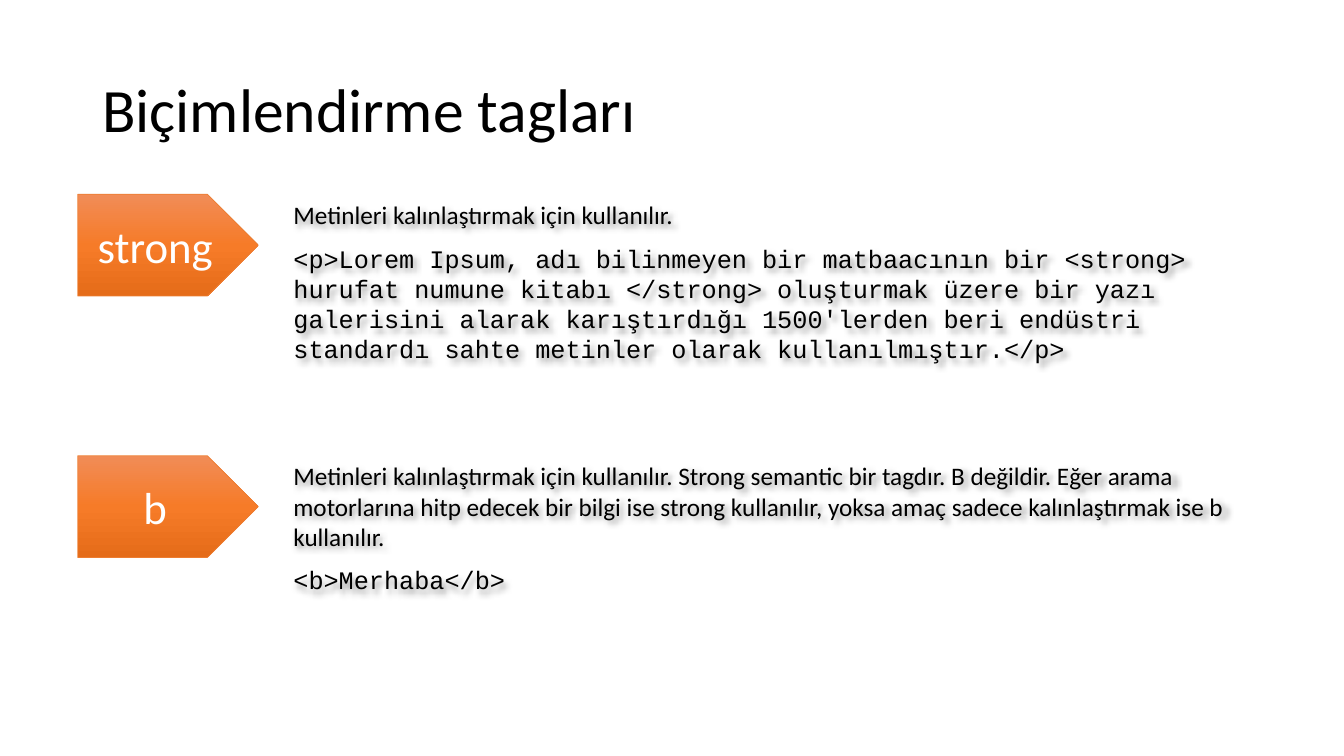
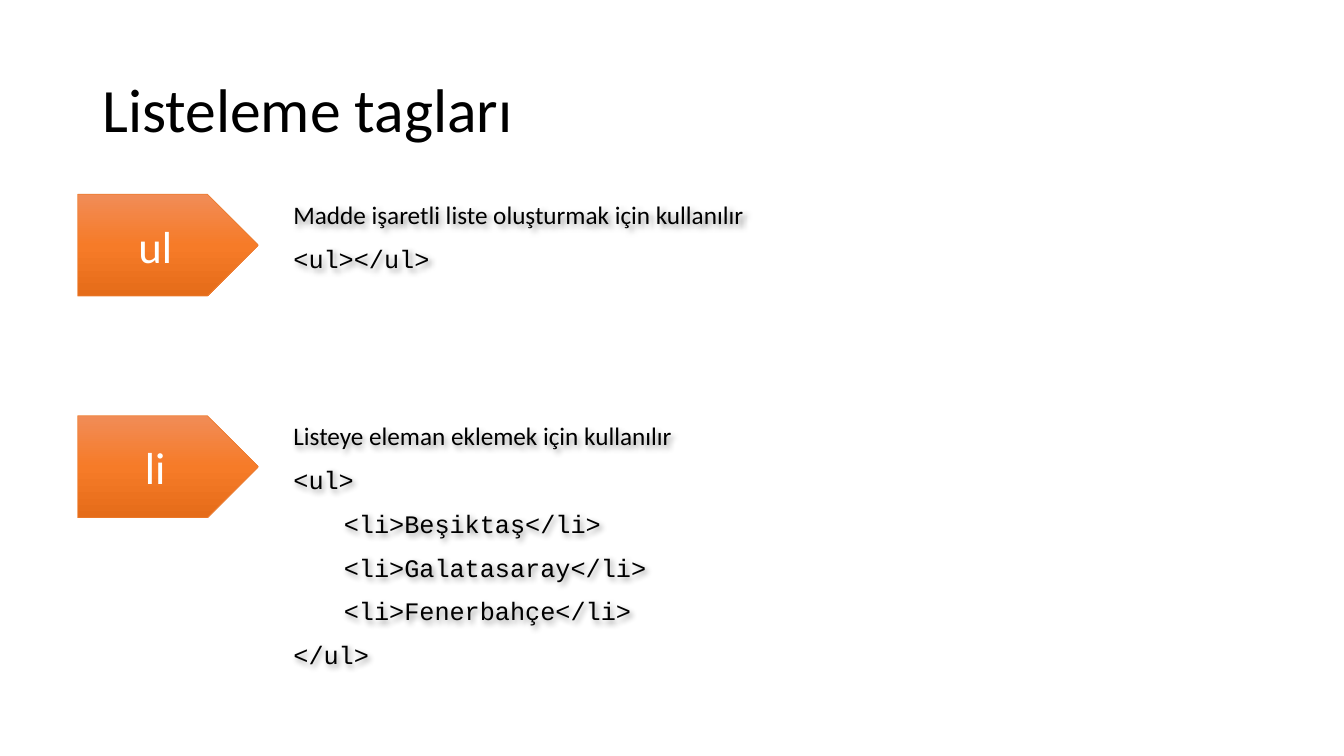
from copy import deepcopy

from lxml import etree
from pptx import Presentation
from pptx import util as u
from pptx.dml.color import RGBColor
from pptx.enum import shapes, text
from pptx.oxml.ns import qn

PX = 9525
BLACK = RGBColor(0x00, 0x00, 0x00)
WHITE = RGBColor(0xFF, 0xFF, 0xFF)
ORANGE = RGBColor(0xED, 0x7D, 0x31)
TAG_GRADIENT = (
    (0, RGBColor(0xF1, 0x8C, 0x57)),
    (0.5, RGBColor(0xF6, 0x7B, 0x28)),
    (1, RGBColor(0xE5, 0x6C, 0x19)),
)
BODY_FONT = "Calibri"
CODE_FONT = "Courier New"
TAG_LEFT, TAG_WIDTH, TAG_HEIGHT = 74, 172, 97
NOTE_LEFT, NOTE_WIDTH = 270, 924
FIRST_ROW = 185
CODE_TAB = 48

SLIDES = (
    ("Biçimlendirme tagları", (
        ("strong", FIRST_ROW, 154, "Metinleri kalınlaştırmak için kullanılır.", (
            "<p>Lorem Ipsum, adı bilinmeyen bir matbaacının bir <strong> hurufat numune "
            "kitabı </strong> oluşturmak üzere bir yazı galerisini alarak karıştırdığı "
            "1500'lerden beri endüstri standardı sahte metinler olarak kullanılmıştır.</p>",
        )),
        ("b", 434, 161,
         "Metinleri kalınlaştırmak için kullanılır. Strong semantic bir tagdır. B değildir. "
         "Eğer arama motorlarına hitp edecek bir bilgi ise strong kullanılır, yoksa amaç "
         "sadece kalınlaştırmak ise b kullanılır.",
         ("<b>Merhaba</b>",)),
    )),
    ("Listeleme tagları", (
        ("ul", FIRST_ROW, 154, "Madde işaretli liste oluşturmak için kullanılır",
         ("<ul></ul>",)),
        ("li", 396, 278, "Listeye eleman eklemek için kullanılır", (
            "<ul>",
            "\t<li>Beşiktaş</li>",
            "\t<li>Galatasaray</li>",
            "\t<li>Fenerbahçe</li>",
            "</ul>",
        )),
    )),
)


def px(*lengths):
    """Turn pixel lengths into EMU."""
    return [u.Emu(length * PX) for length in lengths]


def format_runs(paragraph, size, color, font=BODY_FONT):
    """Give every run of a paragraph the same font."""
    for run in paragraph.runs:
        run.font.name = font
        run.font.size = u.Pt(size)
        run.font.color.rgb = color


def add_text_box(slide, left, top, width, height):
    """Add a wrapping text box and return it."""
    box = slide.shapes.add_textbox(*px(left, top, width, height))
    box.text_frame.word_wrap = True
    return box


def add_title(slide, title):
    """Add the slide title."""
    frame = add_text_box(slide, 88, 38, 1104, 139).text_frame
    frame.vertical_anchor = text.MSO_ANCHOR.MIDDLE
    frame.text = title
    paragraph = frame.paragraphs[0]
    paragraph.line_spacing = 0.9
    format_runs(paragraph, 44, BLACK)


def fill_gradient(shape, stops):
    """Fill a shape with a gradient running from top to bottom."""
    shape.fill.gradient()
    shape.fill.gradient_angle = 270
    stop_list = shape._element.spPr.find(qn("a:gradFill")).find(qn("a:gsLst"))
    while len(stop_list) < len(stops):
        stop_list.append(deepcopy(stop_list[0]))
    for stop, (position, color) in zip(shape.fill.gradient_stops, stops):
        stop.position = position
        stop.color.rgb = color


def add_tag(slide, top, name):
    """Add the orange arrow that names a tag."""
    shape = slide.shapes.add_shape(
        shapes.MSO_SHAPE.PENTAGON, *px(TAG_LEFT, top, TAG_WIDTH, TAG_HEIGHT))
    shape.shadow.inherit = False
    fill_gradient(shape, TAG_GRADIENT)
    shape.line.color.rgb = ORANGE
    shape.line.width = u.Pt(0.5)
    frame = shape.text_frame
    frame.vertical_anchor = text.MSO_ANCHOR.MIDDLE
    frame.text = name
    frame.paragraphs[0].alignment = text.PP_ALIGN.CENTER
    format_runs(frame.paragraphs[0], 32, WHITE)


def add_soft_shadow(shape):
    """Cast a soft shadow down and to the right."""
    effects = etree.SubElement(shape._element.spPr, qn("a:effectLst"))
    shadow = etree.SubElement(
        effects, qn("a:outerShdw"), blurRad="50800", dist="38100", dir="2700000",
        algn="tl", rotWithShape="0")
    color = etree.SubElement(shadow, qn("a:srgbClr"), val=str(BLACK))
    etree.SubElement(color, qn("a:alpha"), val="40000")


def add_tab_stop(paragraph, position):
    """Set a left tab stop on a paragraph."""
    tabs = etree.SubElement(paragraph._p.get_or_add_pPr(), qn("a:tabLst"))
    etree.SubElement(tabs, qn("a:tab"), pos=str(position * PX), algn="l")


def add_note(slide, top, height, description, code_lines):
    """Add the description of a tag followed by its sample code."""
    box = add_text_box(slide, NOTE_LEFT, top, NOTE_WIDTH, height)
    add_soft_shadow(box)
    paragraph = box.text_frame.paragraphs[0]
    paragraph.text = description
    paragraph.space_after = u.Pt(6)
    format_runs(paragraph, 18, BLACK)
    for line in code_lines:
        paragraph = box.text_frame.add_paragraph()
        paragraph.text = line
        if line.startswith("\t"):
            add_tab_stop(paragraph, CODE_TAB)
        paragraph.space_before = u.Pt(3.6)
        paragraph.space_after = u.Pt(6)
        format_runs(paragraph, 18, BLACK, CODE_FONT)


def main():
    """Build and save the presentation."""
    presentation = Presentation()
    presentation.slide_width, presentation.slide_height = px(1280, 720)
    for title, rows in SLIDES:
        slide = presentation.slides.add_slide(presentation.slide_layouts[6])
        add_title(slide, title)
        for name, top, height, description, code_lines in rows:
            add_tag(slide, top, name)
            add_note(slide, top, height, description, code_lines)
    presentation.save("out.pptx")


if __name__ == "__main__":
    main()
